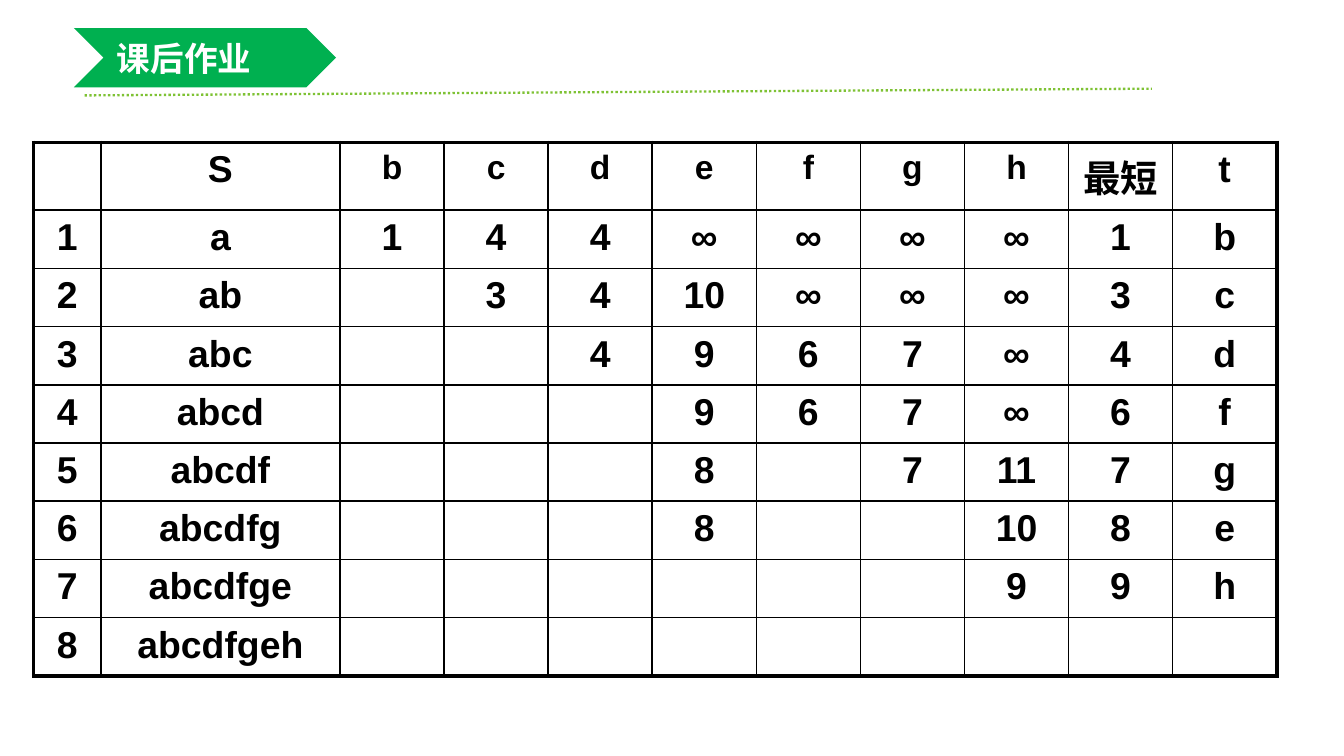
from lxml.etree import SubElement
from pptx import Presentation
from pptx.dml.color import RGBColor
from pptx.enum.dml import MSO_LINE
from pptx.enum.shapes import MSO_CONNECTOR, MSO_SHAPE
from pptx.enum.text import MSO_ANCHOR, PP_ALIGN
from pptx.oxml import parse_xml
from pptx.oxml.ns import nsdecls, qn
from pptx.util import Inches, Pt

BLACK = RGBColor(0x00, 0x00, 0x00)
WHITE = RGBColor(0xFF, 0xFF, 0xFF)
GREEN = RGBColor(0x00, 0xB0, 0x50)
LIME = RGBColor(0x7E, 0xC2, 0x34)
CJK = "Noto Sans CJK SC"


def write(frame, text, size=20, font="Arial", color=BLACK, align=PP_ALIGN.CENTER):
    paragraph = frame.paragraphs[0]
    paragraph.alignment = align
    paragraph.space_before = Pt(0)
    run = paragraph.add_run()
    run.text = text
    run.font.size = Pt(size)
    run.font.bold = True
    run.font.name = font
    run.font.color.rgb = color
    SubElement(run.font._element, qn("a:ea"), typeface=CJK)


def set_borders(cell, **widths):
    cell_format = cell._tc.get_or_add_tcPr()
    for index, side in enumerate("LRTB"):
        cell_format.insert(index, parse_xml(
            f'<a:ln{side} {nsdecls("a")} w="{Pt(widths[side])}">'
            f'<a:solidFill><a:srgbClr val="{BLACK}"/></a:solidFill></a:ln{side}>'))


# 16:9 page
prs = Presentation()
prs.slide_width, prs.slide_height = Inches(10), Inches(10 * 9 / 16)
slide = prs.slides.add_slide(prs.slide_layouts[5])

# Dotted rule under the heading
rule = slide.shapes.add_connector(
    MSO_CONNECTOR.STRAIGHT, Inches(0.63), Inches(0.71), Inches(8.57), Inches(0.66))
rule.line.color.rgb = LIME
rule.line.width = Pt(1.25)
rule.line.dash_style = MSO_LINE.ROUND_DOT
SubElement(rule._element.spPr, qn("a:effectLst"))

# Shortest-path table
steps = [
    ["", "S", "b", "c", "d", "e", "f", "g", "h", "最短", "t"],
    ["1", "a", "1", "4", "4", "∞", "∞", "∞", "∞", "1", "b"],
    ["2", "ab", "", "3", "4", "10", "∞", "∞", "∞", "3", "c"],
    ["3", "abc", "", "", "4", "9", "6", "7", "∞", "4", "d"],
    ["4", "abcd", "", "", "", "9", "6", "7", "∞", "6", "f"],
    ["5", "abcdf", "", "", "", "8", "", "7", "11", "7", "g"],
    ["6", "abcdfg", "", "", "", "8", "", "", "10", "8", "e"],
    ["7", "abcdfge", "", "", "", "", "", "", "9", "9", "h"],
    ["8", "abcdfgeh", "", "", "", "", "", "", "", "", ""],
]
vertex_width = (9.25 - 0.5 - 1.78) / 9
column_widths = [0.5, 1.78] + [vertex_width] * 9
last_row, last_col = len(steps) - 1, len(column_widths) - 1
table = slide.shapes.add_table(
    len(steps), len(column_widths),
    Inches(0.25), Inches(1.06), Inches(9.25), Inches(3.9)).table
table.first_row = table.horz_banding = False
for column, width in zip(table.columns, column_widths):
    column.width = Inches(width)

for r, step in enumerate(steps):
    table.rows[r].height = Inches(3.9 / len(steps))
    for c, value in enumerate(step):
        cell = table.cell(r, c)
        cell.fill.background()
        set_borders(cell,
                    L=2.25 if c == 0 else 1, R=2.25 if c == last_col else 1,
                    T=2.25 if r == 0 else 1, B=2.25 if r == last_row else 1)
        if value:
            vertex_heading = r == 0 and 2 <= c <= 8
            write(cell.text_frame, value, size=18 if vertex_heading else 20)

# Heading banner
banner = slide.shapes.add_shape(
    MSO_SHAPE.CHEVRON, Inches(0.55), Inches(0.21), Inches(1.95), Inches(0.44))
banner.shadow.inherit = False
banner.fill.solid()
banner.fill.fore_color.rgb = GREEN
banner.line.fill.background()

# Title, brought in front of the banner
title = slide.shapes.title
title.left, title.top = Inches(0.77), Inches(0.21)
title.width, title.height = Inches(1.51), Inches(0.44)
title.text_frame.vertical_anchor = MSO_ANCHOR.MIDDLE
write(title.text_frame, "课后作业", size=18, font=CJK, color=WHITE, align=PP_ALIGN.LEFT)
banner._element.addnext(title._element)

prs.save("out.pptx")
